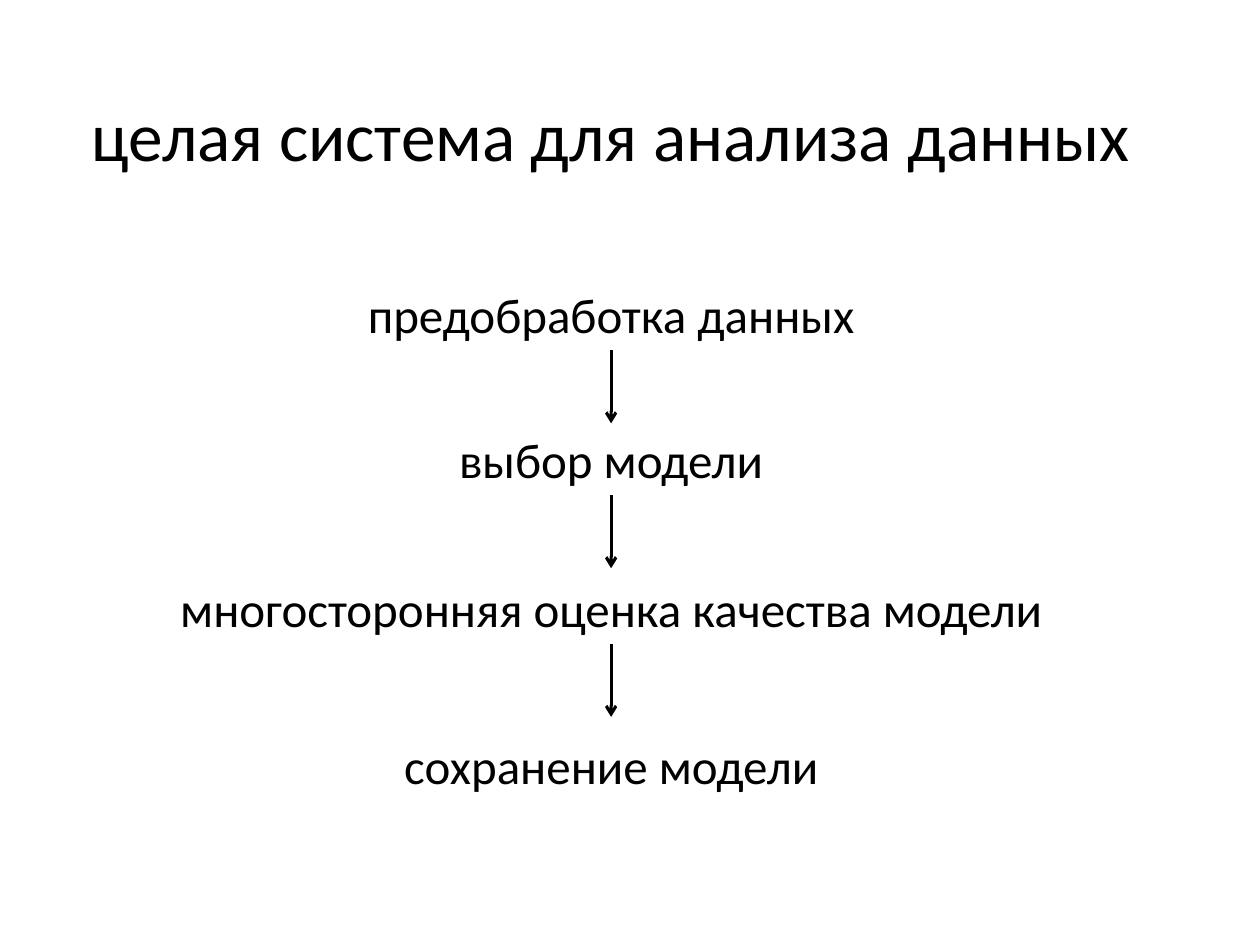
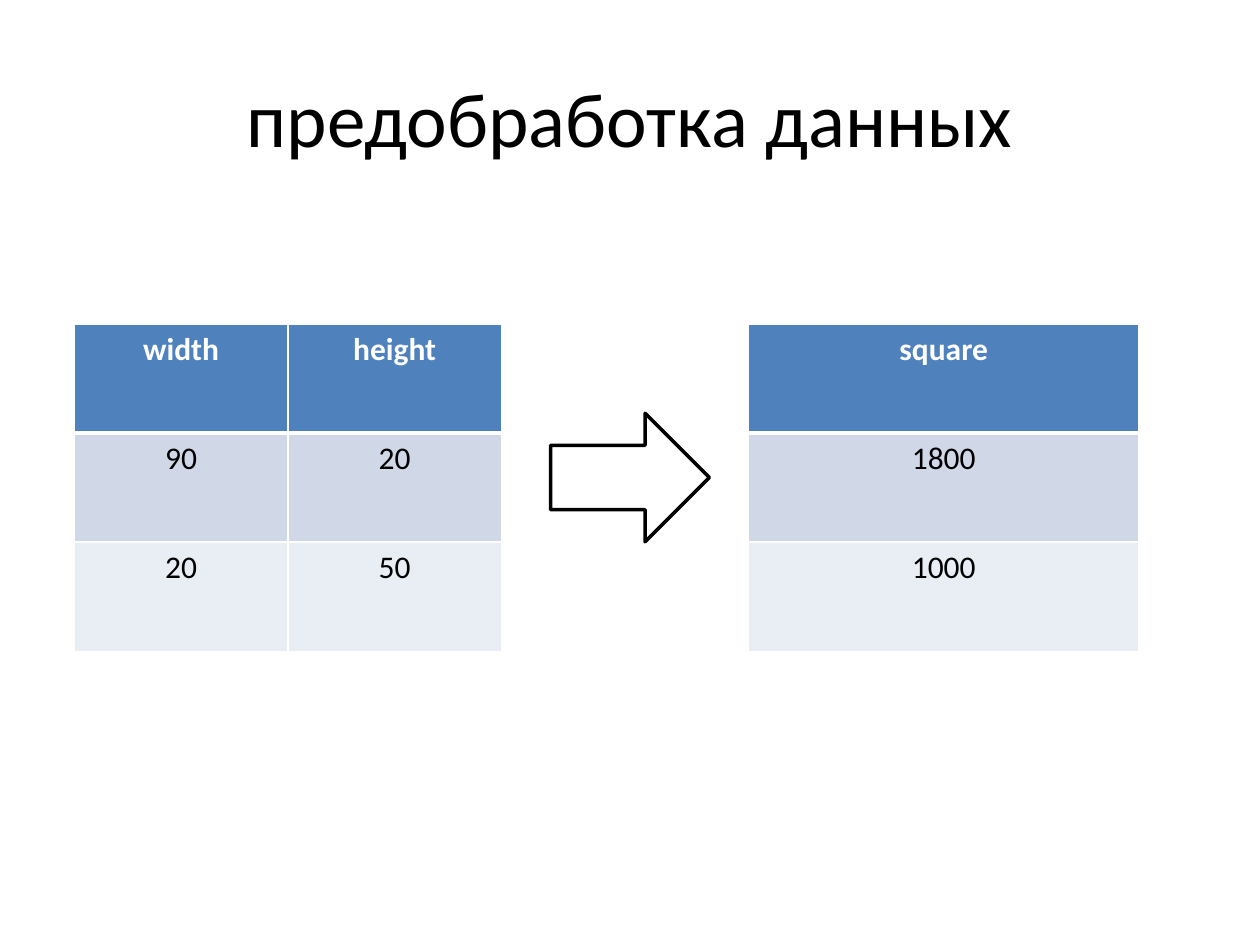
import dataclasses
import pptx
import pptx.util
import pptx.dml.color
import pptx.enum.shapes
import pptx.enum.text
import pptx.oxml
import pptx.oxml.ns

PP_ALIGN = pptx.enum.text.PP_ALIGN
AUTO_SIZE = pptx.enum.text.MSO_AUTO_SIZE
ANCHOR = pptx.enum.text.MSO_ANCHOR
SHAPE = pptx.enum.shapes.MSO_SHAPE
CONNECTOR = pptx.enum.shapes.MSO_CONNECTOR
TOP, BOTTOM = 0, 2


@dataclasses.dataclass(frozen=True)
class Theme:
    font: str = "Calibri"
    ink: str = "000000"
    paper: str = "FFFFFF"
    header: str = "4F81BD"
    bands: tuple = ("D0D8E8", "E9EDF4")
    title_pt: float = 44
    step_pt: float = 28
    cell_pt: float = 18
    flow_line_pt: float = 1.75
    arrow_line_pt: float = 2
    rule_pt: float = 1
    header_rule_pt: float = 3


class Deck:
    """Places elements on a grid of 100 columns by 75 rows."""
    COLS, ROWS = 100, 75

    def __init__(self, theme):
        self.theme = theme
        self.prs = pptx.Presentation()
        self.prs.slide_width = pptx.util.Inches(10)
        self.prs.slide_height = pptx.util.Inches(7.5)
        self.s = None

    def x(self, cols):
        return round(self.prs.slide_width * cols / self.COLS)

    def y(self, rows):
        return round(self.prs.slide_height * rows / self.ROWS)

    def box(self, left, top, width, height):
        return self.x(left), self.y(top), self.x(width), self.y(height)

    @staticmethod
    def rgb(color):
        return pptx.dml.color.RGBColor.from_string(color)

    def add_text(self, tf, text, size, color=None, bold=False):
        p = tf.paragraphs[0]
        p.alignment = PP_ALIGN.CENTER
        r = p.add_run()
        r.text = text
        r.font.name = self.theme.font
        r.font.size = pptx.util.Pt(size)
        r.font.bold = bold
        r.font.color.rgb = self.rgb(color or self.theme.ink)

    def outline(self, line, width):
        line.color.rgb = self.rgb(self.theme.ink)
        line.width = pptx.util.Pt(width)

    def slide(self, title, left, top, size=None):
        self.s = self.prs.slides.add_slide(self.prs.slide_layouts[5])
        self.s.background.fill.solid()
        self.s.background.fill.fore_color.rgb = self.rgb(self.theme.paper)
        sp = self.s.shapes.title
        sp.left, sp.top, sp.width, sp.height = self.box(left, top, 90, 12.5)
        sp.text_frame.auto_size = AUTO_SIZE.NONE
        sp.text_frame.vertical_anchor = ANCHOR.MIDDLE
        self.add_text(sp.text_frame, title, size or self.theme.title_pt)

    def step(self, text, center, top, width, height=5.7):
        sp = self.s.shapes.add_textbox(
            *self.box(center - width / 2, top, width, height))
        tf = sp.text_frame
        tf.word_wrap = False
        tf.auto_size = AUTO_SIZE.SHAPE_TO_FIT_TEXT
        self.add_text(tf, text, self.theme.step_pt)
        return sp

    def flow_arrow(self, source, target, length):
        """Arrow down from source, joined to target when it reaches it."""
        x = source.left + source.width // 2
        y = source.top + source.height
        end = y + self.y(length)
        line = self.s.shapes.add_connector(CONNECTOR.STRAIGHT, x, y, x, end)
        line.begin_connect(source, BOTTOM)
        if abs(end - target.top) < self.y(0.1):
            line.end_connect(target, TOP)
        self.outline(line.line, self.theme.flow_line_pt)
        ln = line.line._get_or_add_ln()
        ln.append(pptx.oxml.parse_xml(
            f'<a:tailEnd {pptx.oxml.ns.nsdecls("a")} type="arrow"/>'))
        line._element.spPr.append(pptx.oxml.parse_xml(
            f'<a:effectLst {pptx.oxml.ns.nsdecls("a")}/>'))

    def block_arrow(self, left, top, width, height):
        sp = self.s.shapes.add_shape(
            SHAPE.RIGHT_ARROW, *self.box(left, top, width, height))
        sp.shadow.inherit = False
        sp.fill.background()
        self.outline(sp.line, self.theme.arrow_line_pt)

    def borders(self, cell, top, bottom):
        tcPr = cell._tc.get_or_add_tcPr()
        rule = self.theme.rule_pt
        for side, width in zip("LRTB", (rule, rule, top, bottom)):
            tcPr.append(pptx.oxml.parse_xml(
                f'<a:ln{side} {pptx.oxml.ns.nsdecls("a")} '
                f'w="{pptx.util.Pt(width)}"><a:solidFill>'
                f'<a:srgbClr val="{self.theme.paper}"/>'
                f'</a:solidFill></a:ln{side}>'))

    def table(self, rows, left, top, width, height):
        t = self.theme
        table = self.s.shapes.add_table(
            len(rows), len(rows[0]), *self.box(left, top, width, height)).table
        for i, values in enumerate(rows):
            head = i == 0
            for j, value in enumerate(values):
                cell = table.cell(i, j)
                self.borders(cell,
                             t.header_rule_pt if i == 1 else t.rule_pt,
                             t.header_rule_pt if head else t.rule_pt)
                cell.fill.solid()
                cell.fill.fore_color.rgb = self.rgb(
                    t.header if head else t.bands[(i - 1) % 2])
                self.add_text(cell.text_frame, value, t.cell_pt,
                              t.paper if head else t.ink, head)


def main():
    deck = Deck(Theme())

    # Pipeline: steps on one axis, joined by arrows of equal length
    deck.slide("целая система для анализа данных", 3.5, 4.4, size=39.6)
    steps = [deck.step(text, 48.5, top, width) for text, top, width in (
        ("предобработка данных", 22.1, 41.1),
        ("выбор модели", 33.6, 26.4),
        ("многосторонняя оценка качества модели", 45.4, 71.1),
        ("сохранение модели", 57.9, 36.1),
    )]
    for source, target in zip(steps, steps[1:]):
        deck.flow_arrow(source, target, 5.8)

    # Preprocessing: two features become one
    deck.slide("предобработка данных", 5, 3)
    top, height = 25.7, 26
    deck.table([("width", "height"), ("90", "20"), ("20", "50")],
               5.9, top, 33.9, height)
    deck.table([("square",), ("1800",), ("1000",)], 59.4, top, 31, height)
    deck.block_arrow(43.7, 32.8, 12.6, 10.2)

    deck.prs.save("out.pptx")


if __name__ == "__main__":
    main()
